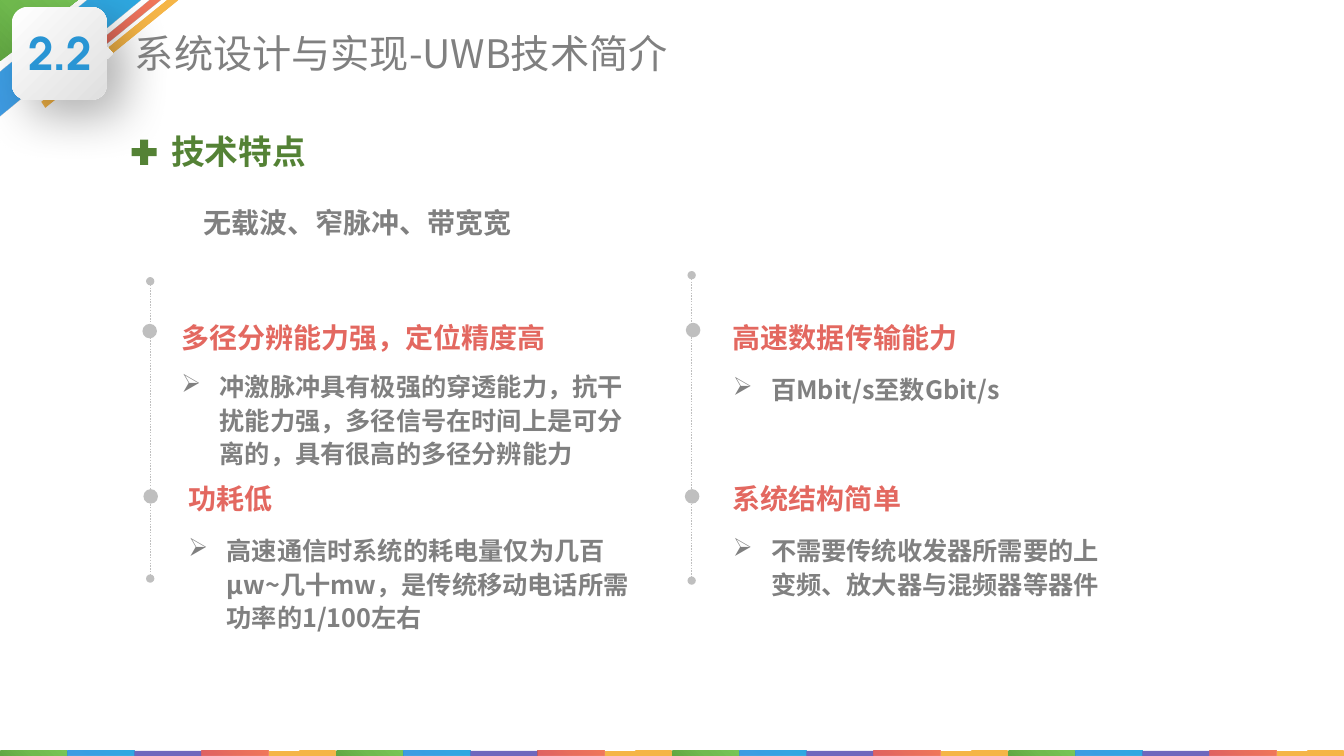
import math
from dataclasses import dataclass

from pptx import Presentation
from pptx import util as u
from pptx.dml.color import RGBColor
from pptx.enum import dml, shapes, text
from pptx.oxml import parse_xml
from pptx.oxml.ns import nsdecls, qn


@dataclass(frozen=True)
class Theme:
    font: str = "Noto Sans CJK SC"
    badge_font: str = "TeX Gyre Adventor"
    grey: str = "808080"
    rail: str = "BFBFBF"
    heading: str = "548235"
    topic: str = "E36860"
    number: str = "2995D4"
    badge_size: int = 32
    title_size: int = 28
    heading_size: int = 24
    topic_size: int = 20
    detail_size: int = 18
    # Each paint is its colour stops, spread evenly, and its opacity in percent.
    green: tuple = (("78C556", "70BA4E", "61A742"), 100)
    blue: tuple = (("19A2DF", "2399E0", "2D91E0"), 90)
    purple: tuple = (("6057B6", "6057B6"), 90)
    red: tuple = (("F06A48", "E65F4D", "DC5153"), 90)
    orange: tuple = (("F5B647", "F5B547", "F5B547"), 100)
    badge: tuple = (("FFFFFF", "DEDEDE"), 100)


THEME = Theme()
RADIAL = ('<a:path path="circle">'
          '<a:fillToRect l="100000" t="0" r="0" b="100000"/></a:path>')
DIAGONAL = '<a:lin ang="2700000" scaled="0"/>'


def rgb(color):
    return RGBColor.from_string(color)


def paint(shape, swatch, shading=RADIAL):
    """Give the shape a gradient with opacity, no outline and no shadow."""
    colors, opacity = swatch
    stops = "".join(
        f'<a:gs pos="{round(100000 * index / (len(colors) - 1))}">'
        f'<a:srgbClr val="{color}"><a:alpha val="{opacity * 1000}"/></a:srgbClr></a:gs>'
        for index, color in enumerate(colors))
    gradient = parse_xml(f'<a:gradFill {nsdecls("a")} rotWithShape="1">'
                         f'<a:gsLst>{stops}</a:gsLst>{shading}</a:gradFill>')
    shape.fill.background()
    properties = shape._element.spPr
    properties.replace(properties.find(qn("a:noFill")), gradient)
    shape.line.fill.background()
    shape.shadow.inherit = False


def add_polygon(slide, points, swatch, shading=RADIAL):
    corners = [(u.Inches(x), u.Inches(y)) for x, y in points]
    builder = slide.shapes.build_freeform(*corners[0])
    builder.add_line_segments(corners[1:], close=True)
    shape = builder.convert_to_shape()
    paint(shape, swatch, shading)
    return shape


def add_preset(slide, kind, left, top, width, height):
    shape = slide.shapes.add_shape(
        kind, u.Inches(left), u.Inches(top), u.Inches(width), u.Inches(height))
    shape.shadow.inherit = False
    return shape


def add_text_box(slide, left, top, width, height, wrap=True,
                 anchor=text.MSO_ANCHOR.TOP):
    box = slide.shapes.add_textbox(
        u.Inches(left), u.Inches(top), u.Inches(width), u.Inches(height))
    frame = box.text_frame
    frame.word_wrap = wrap
    frame.auto_size = text.MSO_AUTO_SIZE.SHAPE_TO_FIT_TEXT
    frame.vertical_anchor = anchor
    return frame


def add_run(paragraph, words, size, color, bold=True, font=THEME.font):
    run = paragraph.add_run()
    run.text = words
    run.font.size = u.Pt(size)
    run.font.bold = bold
    run.font.name = font
    run.font.color.rgb = rgb(color)
    run.font._element.find(qn("a:latin")).addnext(
        parse_xml(f'<a:ea {nsdecls("a")} typeface="{font}"/>'))


def add_topic(slide, box, heading, detail, gap=12):
    """Add a coloured heading with one arrow-bulleted paragraph below it."""
    frame = add_text_box(slide, *box)
    first = frame.paragraphs[0]
    first.space_after = u.Pt(gap)
    add_run(first, heading, THEME.topic_size, THEME.topic)
    second = frame.add_paragraph()
    second.line_spacing = u.Pt(24)
    properties = second._p.get_or_add_pPr()
    indent = u.Inches(0.38)
    properties.set("marL", str(indent))
    properties.set("indent", str(-indent))
    properties.append(parse_xml(f'<a:buChar {nsdecls("a")} char="➢"/>'))
    add_run(second, detail, THEME.detail_size, THEME.grey)


def add_rail(slide, x, top, bottom, dots):
    """Add a dotted vertical line with round ends and a dot per topic."""
    rail = slide.shapes.add_connector(
        shapes.MSO_CONNECTOR.STRAIGHT,
        u.Inches(x), u.Inches(top), u.Inches(x), u.Inches(bottom))
    rail.line.color.rgb = rgb(THEME.rail)
    rail.line.width = u.Pt(1)
    rail.line.dash_style = dml.MSO_LINE.ROUND_DOT
    outline = rail._element.spPr.find(qn("a:ln"))
    for end in ("headEnd", "tailEnd"):
        outline.append(parse_xml(f'<a:{end} {nsdecls("a")} type="oval"/>'))
    rail._element.spPr.append(parse_xml(f'<a:effectLst {nsdecls("a")}/>'))
    for left, dot_top in dots:
        dot = add_preset(slide, shapes.MSO_SHAPE.OVAL, left, dot_top, 0.13, 0.13)
        dot.fill.solid()
        dot.fill.fore_color.rgb = rgb(THEME.rail)
        dot.line.color.rgb = rgb(THEME.rail)
        dot.line.width = u.Pt(1)


def add_corner_stripes(slide):
    add_polygon(slide, [(0, 0), (0.77, 0), (0, 0.61)], THEME.green)
    add_polygon(slide, [(0, 1.16), (1.4, 0), (0.87, 0), (0, 0.72)], THEME.blue)
    add_polygon(slide, [(0.72, 0.71), (1.6, 0), (1.49, 0), (0.68, 0.66)], THEME.red)
    add_polygon(slide, [(0.45, 1.07), (1.77, 0), (1.66, 0), (0.41, 1.01)],
                THEME.orange)


def add_badge(slide, number):
    """Add the rounded tile with a small pointer on its right side."""
    left, top, right, bottom, radius = 0.12, 0.07, 1.06, 0.99, 0.15
    pointer = [(right, 0.47), (1.07, 0.47), (1.12, 0.53), (1.07, 0.58), (right, 0.58)]
    centers = [(right - radius, bottom - radius), (left + radius, bottom - radius),
               (left + radius, top + radius), (right - radius, top + radius)]
    outline = list(pointer)
    for quarter, (x, y) in enumerate(centers):
        for step in range(10):
            angle = math.radians(90 * quarter + 10 * step)
            outline.append((x + radius * math.cos(angle), y + radius * math.sin(angle)))
    tile = add_polygon(slide, outline, THEME.badge, DIAGONAL)
    tile._element.spPr.find(qn("a:effectLst")).append(parse_xml(
        f'<a:outerShdw {nsdecls("a")} blurRad="{u.Pt(34)}" dist="{u.Pt(17)}" '
        'dir="2700000" algn="tl" rotWithShape="0">'
        '<a:srgbClr val="000000"><a:alpha val="30000"/></a:srgbClr></a:outerShdw>'))
    frame = add_text_box(slide, 0.15, 0.17, 0.89, 0.71, False, text.MSO_ANCHOR.MIDDLE)
    paragraph = frame.paragraphs[0]
    paragraph.alignment = text.PP_ALIGN.CENTER
    add_run(paragraph, number, THEME.badge_size, THEME.number, font=THEME.badge_font)


def add_footer_strip(slide, count=20):
    swatches = (THEME.green, THEME.blue, THEME.purple, THEME.red, THEME.orange)
    width = 13.33 / count
    for index in range(count):
        segment = add_preset(slide, shapes.MSO_SHAPE.RECTANGLE,
                             index * width, 7.45, width, 0.05)
        paint(segment, swatches[index % len(swatches)])


def add_section_heading(slide, words):
    plus = add_preset(slide, shapes.MSO_SHAPE.MATH_PLUS, 1.26, 1.34, 0.34, 0.34)
    plus.fill.solid()
    plus.fill.fore_color.rgb = rgb(THEME.heading)
    plus.line.fill.background()
    frame = add_text_box(slide, 1.6, 1.25, 2.59, 0.5)
    add_run(frame.paragraphs[0], words, THEME.heading_size, THEME.heading)


def main():
    presentation = Presentation()
    presentation.slide_width = u.Inches(13.33)
    presentation.slide_height = u.Inches(7.5)
    slide = presentation.slides.add_slide(presentation.slide_layouts[6])

    add_corner_stripes(slide)
    add_badge(slide, "2.2")
    title = add_text_box(slide, 1.24, 0.24, 5.64, 0.57, anchor=text.MSO_ANCHOR.MIDDLE)
    add_run(title.paragraphs[0], "系统设计与实现-UWB技术简介",
            THEME.title_size, THEME.grey, bold=False)
    add_footer_strip(slide)
    add_section_heading(slide, "技术特点")
    summary = add_text_box(slide, 1.92, 1.99, 3.27, 0.44, wrap=False)
    add_run(summary.paragraphs[0], "无载波、窄脉冲、带宽宽", THEME.topic_size, THEME.grey)

    add_rail(slide, 1.49, 2.79, 5.74, [(1.42, 3.22), (1.43, 4.86)])
    add_topic(slide, (1.7, 3.13, 4.72, 1.59), "多径分辨能力强，定位精度高",
              "冲激脉冲具有极强的穿透能力，抗干扰能力强，多径信号在时间上是可分离的，"
              "具有很高的多径分辨能力", gap=10)
    add_topic(slide, (1.77, 4.73, 4.65, 1.61), "功耗低",
              "高速通信时系统的耗电量仅为几百μw~几十mw，是传统移动电话所需功率的1/100左右")
    add_rail(slide, 6.86, 2.73, 5.76, [(6.81, 3.21), (6.8, 4.86)])
    add_topic(slide, (7.17, 3.13, 3.75, 0.94), "高速数据传输能力", "百Mbit/s至数Gbit/s")
    add_topic(slide, (7.17, 4.73, 3.93, 1.28), "系统结构简单",
              "不需要传统收发器所需要的上变频、放大器与混频器等器件")
    presentation.save("out.pptx")


if __name__ == "__main__":
    main()
